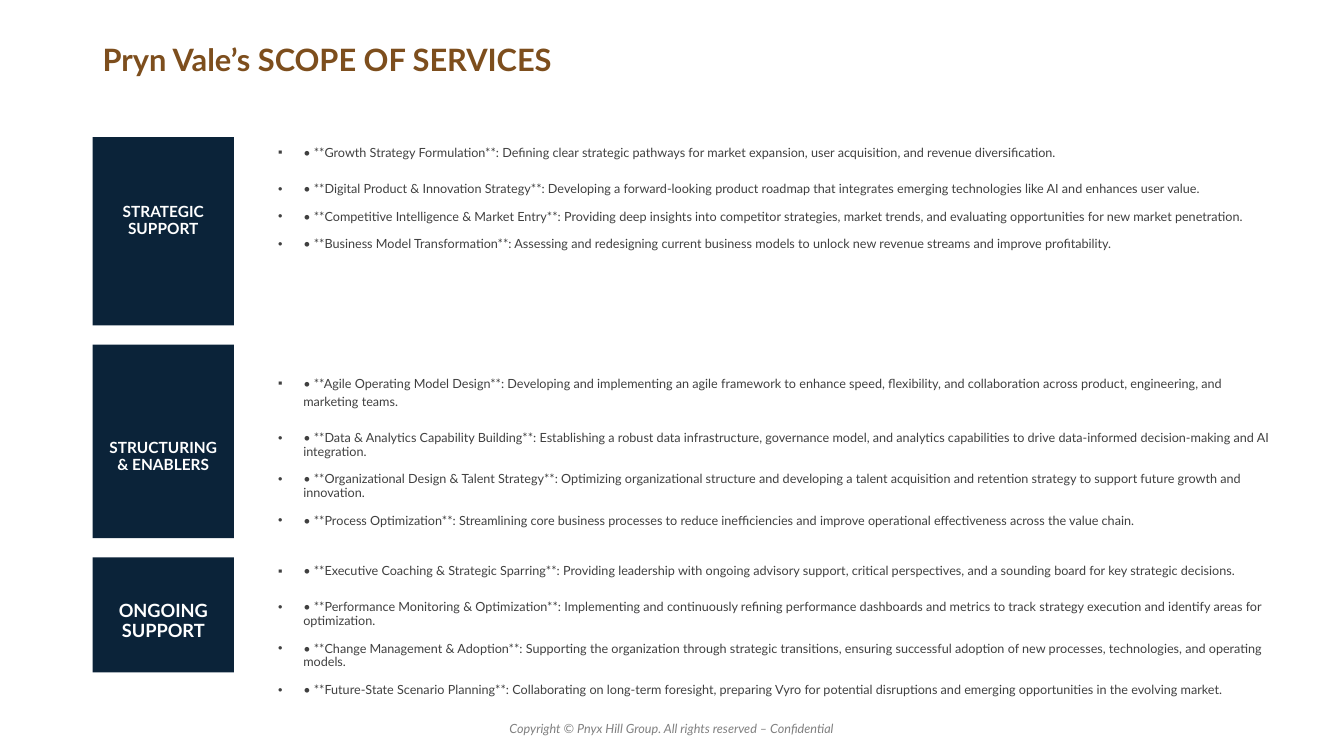
"""Build a scope-of-services slide: three labelled blocks with bulleted services."""
from dataclasses import dataclass

from lxml.etree import SubElement
from pptx import Presentation
from pptx.dml.color import RGBColor
from pptx.enum.shapes import MSO_SHAPE as Preset
from pptx.enum.text import MSO_ANCHOR as Anchor, PP_ALIGN as Align
from pptx.oxml.ns import qn
from pptx.util import Emu, Inches, Pt

FONT = "Lato"
COLORS = {"navy": "0B2339", "brown": "7D4E1D", "text": "404040", "footer": "808080", "white": "FFFFFF"}
SLIDE_WIDTH, SLIDE_HEIGHT = Inches(13.33), Inches(7.5)
COLUMN, ROW = SLIDE_WIDTH / 100, SLIDE_HEIGHT / 100
LABEL_LEFT, LABEL_WIDTH = 6.9, 10.5
LIST_LEFT, LIST_WIDTH = 19.95, 75.69


@dataclass(frozen=True)
class Area:
    left: float
    top: float
    width: float
    height: float

    def box(self) -> tuple[Emu, ...]:
        return (Emu(round(self.left * COLUMN)), Emu(round(self.top * ROW)),
                Emu(round(self.width * COLUMN)), Emu(round(self.height * ROW)))


@dataclass(frozen=True)
class Service:
    name: str
    detail: str


@dataclass(frozen=True)
class Block:
    label: str
    label_size: int
    label_top: float
    label_height: float
    margin_top: float
    margin_bottom: float
    list_top: float
    list_height: float
    services: tuple[Service, ...]


BLOCKS = (
    Block("STRATEGIC SUPPORT", 11, 18.13, 24.93, 0.05, 0.26, 18.13, 24.93, (
        Service("Growth Strategy Formulation",
                "Defining clear strategic pathways for market expansion, user acquisition, "
                "and revenue diversification."),
        Service("Digital Product & Innovation Strategy",
                "Developing a forward-looking product roadmap that integrates emerging "
                "technologies like AI and enhances user value."),
        Service("Competitive Intelligence & Market Entry",
                "Providing deep insights into competitor strategies, market trends, and "
                "evaluating opportunities for new market penetration."),
        Service("Business Model Transformation",
                "Assessing and redesigning current business models to unlock new revenue "
                "streams and improve profitability."))),
    Block("STRUCTURING & ENABLERS", 11, 45.6, 25.6, 0.35, 0.05, 48.67, 24.93, (
        Service("Agile Operating Model Design",
                "Developing and implementing an agile framework to enhance speed, flexibility, "
                "and collaboration across product, engineering, and marketing teams."),
        Service("Data & Analytics Capability Building",
                "Establishing a robust data infrastructure, governance model, and analytics "
                "capabilities to drive data-informed decision-making and AI integration."),
        Service("Organizational Design & Talent Strategy",
                "Optimizing organizational structure and developing a talent acquisition and "
                "retention strategy to support future growth and innovation."),
        Service("Process Optimization",
                "Streamlining core business processes to reduce inefficiencies and improve "
                "operational effectiveness across the value chain."))),
    Block("ONGOING SUPPORT", 13, 73.73, 15.2, 0.18, 0.05, 73.47, 8.4, (
        Service("Executive Coaching & Strategic Sparring",
                "Providing leadership with ongoing advisory support, critical perspectives, "
                "and a sounding board for key strategic decisions."),
        Service("Performance Monitoring & Optimization",
                "Implementing and continuously refining performance dashboards and metrics to "
                "track strategy execution and identify areas for optimization."),
        Service("Change Management & Adoption",
                "Supporting the organization through strategic transitions, ensuring successful "
                "adoption of new processes, technologies, and operating models."),
        Service("Future-State Scenario Planning",
                "Collaborating on long-term foresight, preparing Vyro for potential disruptions "
                "and emerging opportunities in the evolving market."))),
)


def style(paragraph, size: int, color: str, bold: bool = False, italic: bool = False) -> None:
    font = paragraph.font
    font.name, font.size, font.bold, font.italic = FONT, Pt(size), bold, italic
    font.color.rgb = RGBColor.from_string(COLORS[color])


def add_text_box(slide, area: Area):
    frame = slide.shapes.add_textbox(*area.box()).text_frame
    frame.word_wrap = True
    return frame


def add_bullet(paragraph, character: str) -> None:
    properties = paragraph._p.get_or_add_pPr()
    properties.set("marL", str(Inches(0.25)))
    properties.set("indent", str(-Inches(0.25)))
    SubElement(properties, qn("a:buFont"), typeface="Arial")
    SubElement(properties, qn("a:buChar"), char=character)


def add_label(slide, block: Block) -> None:
    area = Area(LABEL_LEFT, block.label_top, LABEL_WIDTH, block.label_height)
    shape = slide.shapes.add_shape(Preset.RECTANGLE, *area.box())
    shape.shadow.inherit = False
    shape.fill.solid()
    shape.fill.fore_color.rgb = RGBColor.from_string(COLORS["navy"])
    shape.line.fill.background()
    frame = shape.text_frame
    frame.word_wrap = True
    frame.vertical_anchor = Anchor.MIDDLE
    frame.margin_top, frame.margin_bottom = Inches(block.margin_top), Inches(block.margin_bottom)
    paragraph = frame.paragraphs[0]
    paragraph.text = block.label
    paragraph.alignment = Align.CENTER
    paragraph.line_spacing = 0.9
    style(paragraph, block.label_size, "white", bold=True)


def add_services(slide, block: Block) -> None:
    frame = add_text_box(slide, Area(LIST_LEFT, block.list_top, LIST_WIDTH, block.list_height))
    for index, service in enumerate(block.services):
        paragraph = frame.add_paragraph() if index else frame.paragraphs[0]
        paragraph.text = f"• **{service.name}**: {service.detail}"
        add_bullet(paragraph, "•" if index else "▪")
        if index:
            paragraph.line_spacing, paragraph.space_before = 0.9, Pt(10)
        else:
            paragraph.line_spacing, paragraph.space_after = 1.2, Pt(6)
        style(paragraph, 9, "text")


def add_title(slide) -> None:
    paragraph = add_text_box(slide, Area(LABEL_LEFT, 5.33, 86.2, 12)).paragraphs[0]
    paragraph.text = "Pryn Vale’s SCOPE OF SERVICES"
    paragraph.line_spacing = 0.9
    style(paragraph, 22, "brown", bold=True)


def add_footer(slide) -> None:
    paragraph = add_text_box(slide, Area(29.7, 94.67, 40.5, 3.33)).paragraphs[0]
    paragraph.text = "Copyright © Pnyx Hill Group. All rights reserved – Confidential"
    paragraph.alignment = Align.CENTER
    style(paragraph, 9, "footer", italic=True)


def main() -> None:
    presentation = Presentation()
    presentation.slide_width, presentation.slide_height = SLIDE_WIDTH, SLIDE_HEIGHT
    slide = presentation.slides.add_slide(presentation.slide_layouts[6])
    add_footer(slide)
    add_title(slide)
    for block in BLOCKS:
        add_label(slide, block)
        add_services(slide, block)
    presentation.save("out.pptx")


if __name__ == "__main__":
    main()
